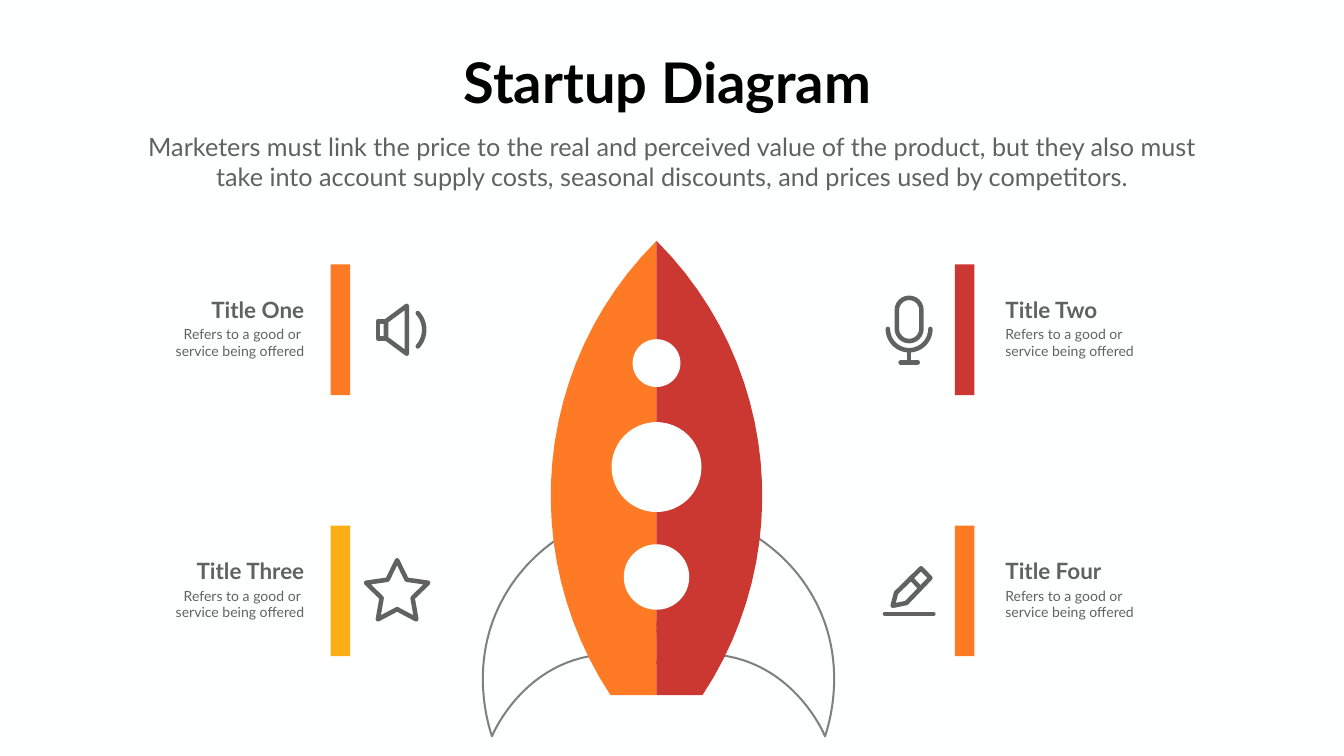
from dataclasses import dataclass
from math import cos, pi, sin

from pptx import Presentation
from pptx.dml.color import RGBColor
from pptx.enum.shapes import MSO_CONNECTOR, MSO_SHAPE
from pptx.enum.text import PP_ALIGN
from pptx.oxml.ns import qn
from pptx.util import Cm, Pt


@dataclass(frozen=True)
class Theme:
    """Colours, font and sizes of the deck."""
    paper: str = "FEFFFF"
    ink: str = "000000"
    grey: str = "616161"
    edge: str = "808080"
    orange: str = "FF7A24"
    red: str = "CB3832"
    gold: str = "FEAE15"
    font: str = "Lato"
    head: int = 80
    lead: int = 36
    title: int = 32
    note: int = 20
    thin: float = 2.9
    thick: float = 6.5


THEME = Theme()


def color(code):
    """Turn a hex code into a colour."""
    return RGBColor.from_string(code)


def paint(shape, fill=None, line=None, width=THEME.thick):
    """Set fill and line, leaving out whichever is not given."""
    shape.shadow.inherit = False
    if fill:
        shape.fill.solid()
        shape.fill.fore_color.rgb = color(fill)
    else:
        shape.fill.background()
    if line:
        ink(shape, line, width)
    else:
        shape.line.fill.background()


def ink(shape, line, width):
    """Give a shape a line with round caps and joins."""
    shape.line.color.rgb = color(line)
    shape.line.width = Pt(width)
    node = shape.line._get_or_add_ln()
    node.set("cap", "rnd")
    node.append(node.makeelement(qn("a:round"), {}))


def bend(start, curve, steps=24):
    """List points along a cubic curve."""
    a, b, c, d = start, curve[:2], curve[2:4], curve[4:]
    return [tuple((1 - t) ** 3 * a[i] + 3 * t * (1 - t) ** 2 * b[i]
                  + 3 * t * t * (1 - t) * c[i] + t ** 3 * d[i] for i in (0, 1))
            for t in (n / steps for n in range(1, steps + 1))]


def trace(slide, x, y, parts, flip=1, close=True, **look):
    """Draw an outline of points and curves around x, y."""
    points = [parts[0]]
    for part in parts[1:]:
        points += [part] if len(part) == 2 else bend(points[-1], part)
    spots = [(Cm(x + flip * px), Cm(y + py)) for px, py in points]
    pen = slide.shapes.build_freeform(*spots[0], scale=1.0)
    pen.add_line_segments(spots[1:], close=close)
    paint(pen.convert_to_shape(), **look)


def preset(slide, kind, x, y, width, height, **look):
    """Add a preset shape."""
    shape = slide.shapes.add_shape(kind, Cm(x), Cm(y), Cm(width), Cm(height))
    paint(shape, **look)
    return shape


def stroke(slide, x, y, start, end):
    """Add a straight icon line around x, y."""
    line = slide.shapes.add_connector(
        MSO_CONNECTOR.STRAIGHT, Cm(x + start[0]), Cm(y + start[1]),
        Cm(x + end[0]), Cm(y + end[1]))
    ink(line, THEME.grey, THEME.thick)
    props = line._element.spPr
    props.append(props.makeelement(qn("a:effectLst"), {}))


def write(slide, box, lines, size, tint=THEME.grey, bold=False,
          align=PP_ALIGN.LEFT):
    """Add a text box with one paragraph for each line."""
    frame = slide.shapes.add_textbox(*map(Cm, box)).text_frame
    frame.word_wrap = True
    frame.text = "\n".join(lines)
    for para in frame.paragraphs:
        para.alignment = align
        para.font.name = THEME.font
        para.font.size = Pt(size)
        para.font.bold = bold
        para.font.color.rgb = color(tint)


def speaker(slide, x, y):
    """Draw a speaker with one sound wave."""
    cone = [(0.49, -1.21), (-0.56, -0.43), (-0.56, 0.43), (0.49, 1.21)]
    trace(slide, x, y, cone, line=THEME.grey)
    preset(slide, MSO_SHAPE.RECTANGLE, x - 0.96, y - 0.43, 0.4, 0.86,
           line=THEME.grey)
    trace(slide, x, y, [(1.04, -0.84), (1.47, -0.36, 1.47, 0.36, 1.04, 0.84)],
          close=False, line=THEME.grey)


def mic(slide, x, y):
    """Draw a microphone on a stand."""
    head = preset(slide, MSO_SHAPE.ROUNDED_RECTANGLE, x - 0.62, y - 1.61,
                  1.24, 2.18, line=THEME.grey)
    head.adjustments[0] = 0.5
    cup = [(-1.07, -0.04), (-1.07, 0.55, -0.59, 1.03, 0, 1.03),
           (0.59, 1.03, 1.07, 0.55, 1.07, -0.04)]
    trace(slide, x, y, cup, close=False, line=THEME.grey)
    stroke(slide, x, y, (0, 1.03), (0, 1.64))
    stroke(slide, x, y, (-0.43, 1.64), (0.43, 1.64))


def star(slide, x, y):
    """Draw a star with five tips."""
    tips = [(r * sin(n * pi / 5), 0.1 - r * cos(n * pi / 5))
            for n, r in enumerate([1.65, 0.82] * 5)]
    trace(slide, x, y, tips, line=THEME.grey)


def pencil(slide, x, y):
    """Draw a pencil over a line."""
    body = [(0.6, -1.14), (1.07, -0.65), (-0.14, 0.61), (-0.83, 0.75),
            (-0.66, 0.1)]
    trace(slide, x, y, body, line=THEME.grey)
    stroke(slide, x, y, (0.09, -0.64), (0.57, -0.13))
    stroke(slide, x, y, (-1.22, 1.16), (1.22, 1.16))


def rocket(slide, x, y):
    """Draw the rocket down from its nose at x, y."""
    fin = [(-3.31, 14.12), (1.77, 22.12),
           (1.38, 21.84, -0.65, 20.42, -3.37, 20.93),
           (-6.79, 21.56, -8.19, 24.71, -8.29, 24.97),
           (-8.47, 24.43, -9.51, 21.21, -7.71, 17.98),
           (-6.29, 15.42, -4, 14.4, -3.31, 14.12)]
    half = [(0, 0), (-6.23, 6.22, -6.99, 15.82, -2.32, 22.89), (0, 22.89)]
    for flip in (-1, 1):
        trace(slide, x + 0.1, y, [(px - 0.1, *rest) if not rest[1:] else
              (px - 0.1, rest[0], rest[1] - 0.1, rest[2], rest[3] - 0.1,
               rest[4]) for px, *rest in fin], flip,
              line=THEME.edge, width=THEME.thin)
    for flip, fill in ((1, THEME.orange), (-1, THEME.red)):
        trace(slide, x, y, half, flip, fill=fill)
    for mid, size in ((6.16, 2.41), (11.4, 4.53), (16.94, 3.3)):
        preset(slide, MSO_SHAPE.OVAL, x - size / 2, y + mid - size / 2,
               size, size, fill=THEME.paper)


def item(slide, x, y, right, title, width, fill, icon):
    """Place a bar at x, y with its icon and text on either side."""
    tall, wide = 6.58, 7.04
    preset(slide, MSO_SHAPE.RECTANGLE, x, y, 0.99, tall, fill=fill)
    icon(slide, x + (-2.3 if right else 3.35), y + tall / 2)
    align = PP_ALIGN.LEFT if right else PP_ALIGN.RIGHT
    first = "Refers to a good or" if right else "Refers to a good or "
    for lines, span, top, high, size, bold in (
            ([title], width, 1.45, 1.63, THEME.title, True),
            ([first, "service being offered"], wide, 2.97, 1.96,
             THEME.note, False)):
        left = x + 2.3 if right else x - 1.08 - span
        write(slide, (left, y + top, span, high), lines, size,
              bold=bold, align=align)


def header(slide, x, y):
    """Write the heading and the lead text."""
    write(slide, (x + 16.3, y, 21.52, 3.68), ["Startup Diagram"],
          THEME.head, THEME.ink, True)
    lead = ("Marketers must link the price to the real and perceived value of "
            "the product, but they also must take into account supply costs, "
            "seasonal discounts, and prices used by competitors.")
    write(slide, (x, y + 4.21, 54.1, 3.33), [lead], THEME.lead,
          align=PP_ALIGN.CENTER)


def main():
    """Build the slide and save it."""
    deck = Presentation()
    deck.slide_width, deck.slide_height = Cm(67.72), Cm(38.1)
    slide = deck.slides.add_slide(deck.slide_layouts[6])
    slide.background.fill.solid()
    slide.background.fill.fore_color.rgb = color(THEME.paper)
    rocket(slide, 33.08, 12.14)
    items = (("Title One", 5.26, THEME.orange, speaker),
             ("Title Two", 5.33, THEME.red, mic),
             ("Title Three", 6.91, THEME.gold, star),
             ("Title Four", 5.94, THEME.orange, pencil))
    for n, entry in enumerate(items):
        row, right = divmod(n, 2)
        item(slide, 16.66 + 31.45 * right, 13.33 + 13.16 * row, right, *entry)
    header(slide, 6.81, 2.29)
    deck.save("out.pptx")


if __name__ == "__main__":
    main()
